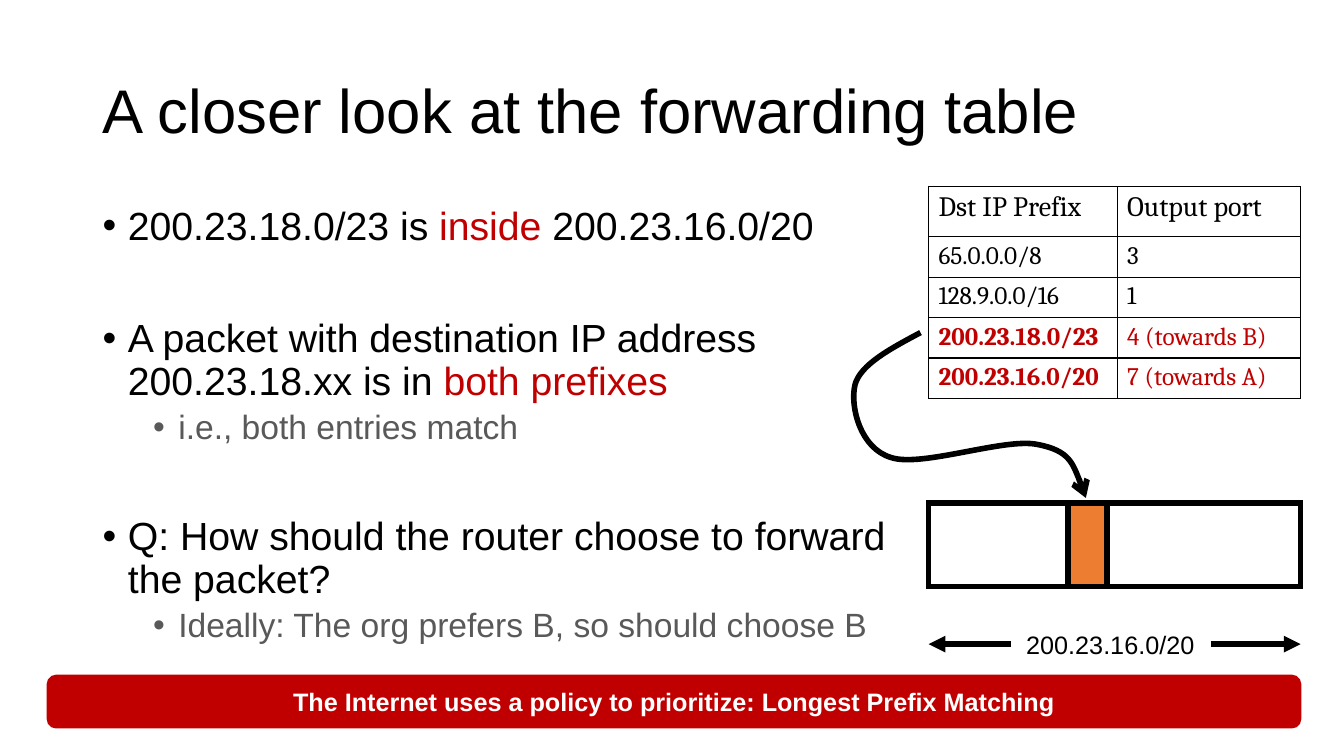
from pptx import Presentation
from pptx import util as u
from pptx.dml.color import RGBColor
from pptx.enum import shapes, text
from pptx.oxml import ns
from lxml import etree

PX = 9144
BLACK, WHITE, RED, GREY, ORANGE = "000000", "FFFFFF", "C00000", "595959", "ED7D31"
ROUTES = [
    ("Dst IP Prefix", "Output port"),
    ("65.0.0.0/8", "3"),
    ("128.9.0.0/16", "1"),
    ("200.23.18.0/23", "4 (towards B)"),
    ("200.23.16.0/20", "7 (towards A)"),
]
POINTS = [
    (0, 1, [("200.23.18.0/23 is ", BLACK), ("inside ", RED), ("200.23.16.0/20", BLACK)]),
    (50, 1, [("A packet with destination IP address 200.23.18.xx is in ", BLACK),
             ("both prefixes", RED)]),
    (5, 2, [("i.e., both entries match", GREY)]),
    (50, 1, [("Q: How should the router choose to forward the packet?", BLACK)]),
    (5, 2, [("Ideally: The org prefers B, so should choose B", GREY)]),
]
CURVE = [
    (913, 330),
    (883, 346), (853, 362), (848, 382),
    (843, 403), (853, 445), (884, 454),
    (914, 464), (997, 434), (1029, 441),
    (1061, 447), (1069, 470), (1077, 494),
]


def style(item, **form):
    for key, value in form.items():
        setattr(item, key, value)


def tint(fill, color):
    fill.solid()
    fill.fore_color.rgb = RGBColor.from_string(color)


def node(parent, tag, **attrs):
    return etree.SubElement(parent, ns.qn(tag), attrs)


def box(*sides):
    return [side * PX for side in sides]


def write(para, words, size, color, face="Arial", bold=False):
    run = para.add_run()
    run.text = words
    style(run.font, size=u.Pt(size), name=face, bold=bold)
    tint(run.font.fill, color)


def stroke(line, color, width, *ends):
    tint(line.fill, color)
    line.width = u.Pt(width)
    for tag, attrs in ends:
        node(line._ln, tag, **attrs)


def title(slide, words, *place):
    head = slide.shapes.title
    style(head, **dict(zip(("left", "top", "width", "height"), box(*place))))
    frame = head.text_frame
    style(frame, word_wrap=True, vertical_anchor=text.MSO_ANCHOR.MIDDLE,
          auto_size=text.MSO_AUTO_SIZE.NONE)
    para = frame.paragraphs[0]
    style(para, alignment=text.PP_ALIGN.LEFT, line_spacing=0.9)
    write(para, words, 44, BLACK)


def bullets(slide, points, *place):
    frame = slide.shapes.add_textbox(*box(*place)).text_frame
    frame.word_wrap = True
    for index, (gap, level, parts) in enumerate(points):
        para = frame.add_paragraph() if index else frame.paragraphs[0]
        props = para._p.get_or_add_pPr()
        props.set("marL", str((50 * level - 25) * PX))
        props.set("indent", str(-25 * PX))
        node(props, "a:buFont", typeface="Arial")
        node(props, "a:buChar", char="•")
        style(para, level=level - 1, line_spacing=0.9, space_before=u.Pt(gap))
        for words, color in parts:
            write(para, words, 32 - 4 * level, color)


def border(cell):
    props = cell._tc.get_or_add_tcPr()
    for side in "LRTB":
        line = node(props, "a:ln" + side, w=str(u.Pt(1)))
        node(node(line, "a:solidFill"), "a:srgbClr", val=BLACK)


def routes(slide, rows, *place):
    grid = slide.shapes.add_table(len(rows), 2, *box(*place)).table
    style(grid, first_row=False, horz_banding=False)
    for col, width in zip(grid.columns, (187, 182)):
        col.width = width * PX
    for r, row in enumerate(rows):
        grid.rows[r].height = (40 if r else 50) * PX
        for c, words in enumerate(row):
            cell = grid.cell(r, c)
            border(cell)
            tint(cell.fill, WHITE)
            hot = r > 2
            write(cell.text_frame.paragraphs[0], words, 18 if r else 20,
                  RED if hot else BLACK, "Cambria", hot and c == 0)


def block(slide, fill, *place):
    item = slide.shapes.add_shape(shapes.MSO_SHAPE.RECTANGLE, *box(*place))
    item.shadow.inherit = False
    if fill:
        tint(item.fill, fill)
    else:
        item.fill.background()
    stroke(item.line, BLACK, 4, ("a:miter", {"lim": "800000"}))


def curve(slide, points):
    pen = slide.shapes.build_freeform(*points[0], scale=PX)
    pen.add_line_segments(points[1:], close=False)
    item = pen.convert_to_shape()
    item.shadow.inherit = False
    item.fill.background()
    stroke(item.line, BLACK, 4, ("a:tailEnd", {"type": "arrow"}))
    steps = list(item._element.iter(ns.qn("a:lnTo")))
    track = steps[0].getparent()
    for start in range(0, len(steps), 3):
        bend = node(track, "a:cubicBezTo")
        for step in steps[start:start + 3]:
            bend.append(step[0])
            track.remove(step)


def arrow(slide, *ends):
    item = slide.shapes.add_connector(shapes.MSO_CONNECTOR.STRAIGHT, *box(*ends))
    stroke(item.line, BLACK, 4, ("a:tailEnd", {"type": "triangle"}))
    node(item._element.spPr, "a:effectLst")


def label(slide, words, *place):
    frame = slide.shapes.add_textbox(*box(*place)).text_frame
    frame.word_wrap = True
    write(frame.paragraphs[0], words, 18, BLACK)


def banner(slide, words, *place):
    item = slide.shapes.add_shape(shapes.MSO_SHAPE.ROUNDED_RECTANGLE, *box(*place))
    item.shadow.inherit = False
    tint(item.fill, RED)
    stroke(item.line, RED, 1)
    frame = item.text_frame
    style(frame, word_wrap=True, vertical_anchor=text.MSO_ANCHOR.MIDDLE)
    para = frame.paragraphs[0]
    para.alignment = text.PP_ALIGN.CENTER
    write(para, words, 18, WHITE, bold=True)


def main():
    deck = Presentation()
    style(deck, slide_width=1333 * PX, slide_height=750 * PX)
    slide = deck.slides.add_slide(deck.slide_layouts[5])
    title(slide, "A closer look at the forwarding table", 92, 40, 1150, 145)
    bullets(slide, POINTS, 92, 200, 805, 476)
    routes(slide, ROUTES, 921, 185, 369, 210)
    block(slide, None, 921, 499, 369, 83)
    block(slide, ORANGE, 1059, 499, 39, 83)
    curve(slide, CURVE)
    label(slide, "200.23.16.0/20", 1008, 619, 187, 40)
    arrow(slide, 1201, 639, 1290, 639)
    arrow(slide, 1003, 639, 921, 639)
    banner(slide, "The Internet uses a policy to prioritize: Longest Prefix Matching",
           47, 670, 1243, 52)
    deck.save("out.pptx")


if __name__ == "__main__":
    main()
